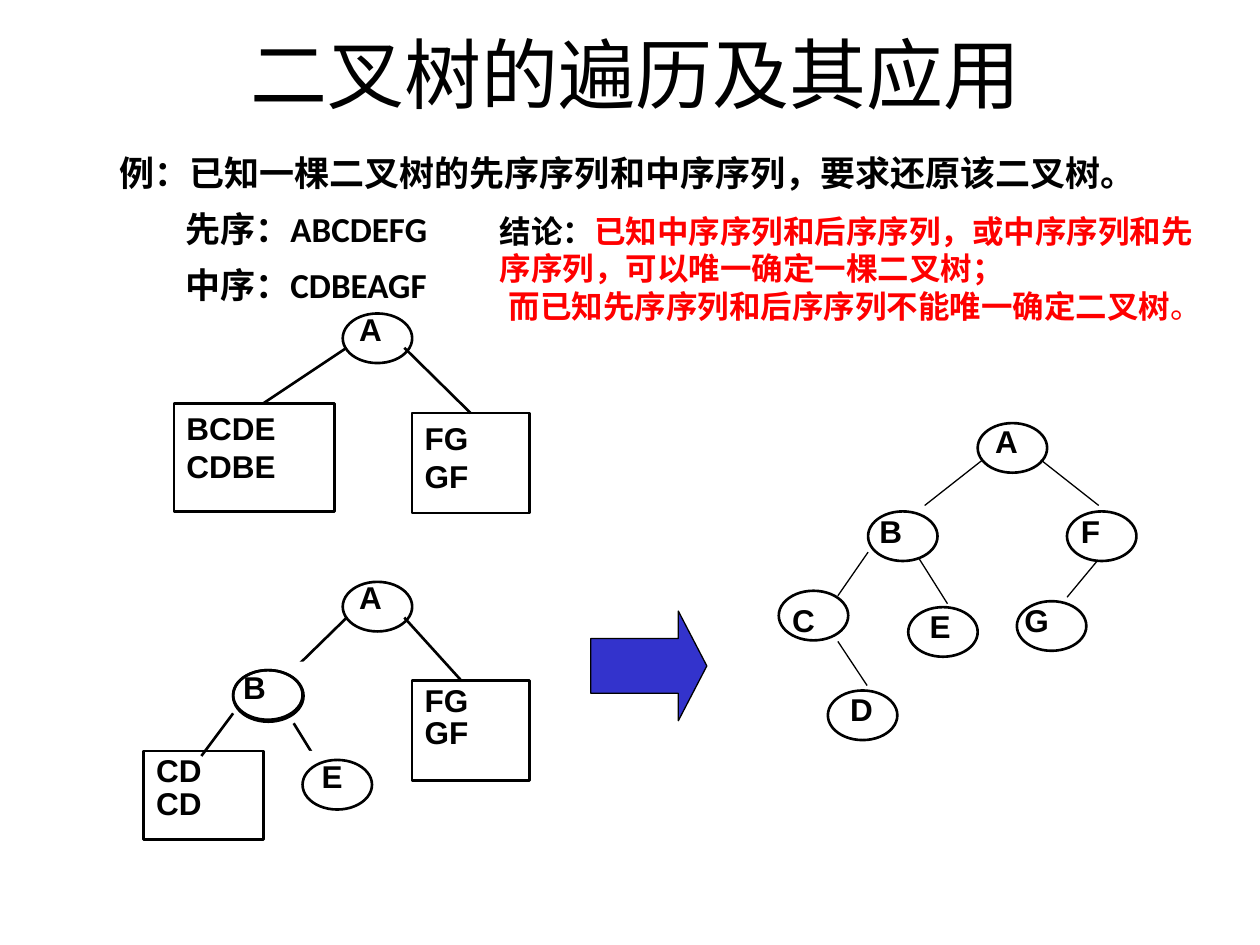
from lxml import etree
from pptx import Presentation
from pptx.dml.color import RGBColor
from pptx.enum import shapes, text
from pptx.oxml import ns
from pptx.util import Cm, Pt

BLACK = RGBColor(0, 0, 0)
WHITE = RGBColor(255, 255, 255)
RED = RGBColor(255, 0, 0)
BLUE = RGBColor(0x33, 0x33, 0xCC)

OVAL_SIZE = (1.4, 1.0)
LABEL_SIZE = (1.75, 1.36)

# letter, oval left, oval top, label left, label top
RESULT_NODES = [
    ("A", 19.71, 8.53, 19.81, 8.38),
    ("B", 17.5, 10.31, 17.48, 10.19),
    ("F", 21.51, 10.31, 21.54, 10.19),
    ("C", 15.7, 11.91, 15.72, 11.99),
    ("E", 18.31, 12.24, 18.49, 12.12),
    ("G", 20.5, 12.12, 20.4, 11.99),
    ("D", 16.69, 13.92, 16.89, 13.79),
]
RESULT_EDGES = [
    (19.81, 9.27, 18.64, 10.19),
    (20.98, 9.27, 22.15, 10.19),
    (17.5, 11.13, 16.89, 12.01),
    (18.52, 11.25, 19.1, 12.17),
    (22.1, 11.33, 21.51, 12.04),
    (16.89, 12.93, 17.48, 13.82),
]


def place(shape, left, top, width, height):
    shape.left, shape.top = Cm(left), Cm(top)
    shape.width, shape.height = Cm(width), Cm(height)


def set_font(font, size, name, bold=True, color=BLACK):
    font.size, font.name, font.bold = Pt(size), name, bold
    font.color.rgb = color


def set_indent(paragraph, left=0, first=0):
    """Set the left margin and first-line indent in cm, without a bullet."""
    properties = paragraph._p.get_or_add_pPr()
    properties.set("marL", str(Cm(left)))
    properties.set("indent", str(Cm(first)))
    etree.SubElement(properties, ns.qn("a:buNone"))


def add_shape(slide, kind, box, fill=None, line_width=None):
    shape = slide.shapes.add_shape(kind, *map(Cm, box))
    shape.shadow.inherit = False
    if fill is None:
        shape.fill.background()
    else:
        shape.fill.solid()
        shape.fill.fore_color.rgb = fill
    if line_width is None:
        shape.line.fill.background()
    else:
        shape.line.color.rgb = BLACK
        shape.line.width = Pt(line_width)
    return shape


def write_lines(shape, lines, spacing=None, alignment=text.PP_ALIGN.LEFT):
    frame = shape.text_frame
    frame.word_wrap = True
    frame.vertical_anchor = text.MSO_ANCHOR.TOP
    frame.text = "\n".join(lines)
    for paragraph in frame.paragraphs:
        paragraph.alignment = alignment
        paragraph.line_spacing = spacing
        set_font(paragraph.font, 18, "Arial")


def add_sequence_box(slide, box, lines, spacing=None):
    """Add a subtree still given by its preorder and inorder sequences."""
    shape = add_shape(slide, shapes.MSO_SHAPE.RECTANGLE, box, WHITE, 1.5)
    write_lines(shape, lines, spacing)
    return shape


def add_edge(slide, start_x, start_y, end_x, end_y, width=1.5):
    edge = slide.shapes.add_connector(
        shapes.MSO_CONNECTOR.STRAIGHT, Cm(start_x), Cm(start_y), Cm(end_x), Cm(end_y))
    edge.line.color.rgb = BLACK
    edge.line.width = Pt(width)
    etree.SubElement(edge._element.spPr, ns.qn("a:effectLst"))
    return edge


def add_oval(slide, left, top, size=OVAL_SIZE):
    add_shape(slide, shapes.MSO_SHAPE.OVAL, (left, top, *size), line_width=1.5)


def add_node(slide, letter, left, top, label_left, label_top, fill=None,
             alignment=text.PP_ALIGN.LEFT):
    label = add_shape(slide, shapes.MSO_SHAPE.RECTANGLE,
                      (label_left, label_top, *LABEL_SIZE), fill)
    write_lines(label, [letter], alignment=alignment)
    add_oval(slide, left, top)
    return label


def fill_title(slide):
    title = slide.shapes.title
    place(title, 1.7, -0.86, 22.23, 3.38)
    frame = title.text_frame
    frame.text = "二叉树的遍历及其应用"
    frame.auto_size = text.MSO_AUTO_SIZE.NONE
    frame.vertical_anchor = text.MSO_ANCHOR.BOTTOM
    paragraph = frame.paragraphs[0]
    paragraph.alignment = text.PP_ALIGN.CENTER
    set_font(paragraph.font, 44, "Calibri", bold=False)


def fill_body(slide):
    body = slide.placeholders[1]
    place(body, 1.7, 2.92, 22.2, 14.4)
    frame = body.text_frame
    frame.text = "例：已知一棵二叉树的先序序列和中序序列，要求还原该二叉树。\n先序：ABCDEFG\n中序：CDBEAGF"
    frame.auto_size = text.MSO_AUTO_SIZE.NONE
    for index, paragraph in enumerate(frame.paragraphs):
        set_indent(paragraph, left=1.78 if index else 0.45)
        paragraph.space_before = Pt(8 if index else 0)
        set_font(paragraph.font, 20, "Calibri")


def add_conclusion(slide):
    box = slide.shapes.add_textbox(Cm(9.83), Cm(4.14), Cm(14.5), Cm(2.54))
    frame = box.text_frame
    frame.word_wrap = True
    first, second = frame.paragraphs[0], frame.add_paragraph()
    set_indent(second, first=0.18)
    for paragraph, content, color, bold in [
        (first, "结论：", BLACK, True),
        (first, "已知中序序列和后序序列，或中序序列和先序序列，可以唯一确定一棵二叉树；", RED, True),
        (second, "而已知先序序列和后序序列不能唯一确定二叉树", RED, True),
        (second, "。", RED, False),
    ]:
        run = paragraph.add_run()
        run.text = content
        set_font(run.font, 18, "Arial", bold, color)


def add_first_step(slide):
    add_sequence_box(slide, (3.51, 8.13, 3.23, 2.18), ["BCDE", "CDBE"])
    right = add_sequence_box(slide, (8.31, 8.33, 2.36, 2.01), ["FG", "GF"])
    label = add_node(slide, "A", 6.91, 6.32, 6.99, 6.12, WHITE)
    label.width = Cm(1.32)
    add_edge(slide, 6.99, 7.01, 5.31, 8.13)
    add_edge(slide, 8.15, 7.01, 9.49, 8.33).end_connect(right, 0)


def add_second_step(slide):
    add_sequence_box(slide, (2.9, 15.14, 2.41, 1.78), ["CD", "CD"], 0.85)
    add_node(slide, "A", 6.91, 11.73, 6.99, 11.53, WHITE)
    add_edge(slide, 6.99, 12.45, 5.69, 13.72)
    add_edge(slide, 8.15, 12.45, 9.3, 13.72)
    add_node(slide, "B", 4.7, 13.51, 4.65, 13.34, WHITE)
    add_oval(slide, 4.7, 13.51, (1.42, 1.04))
    add_edge(slide, 4.7, 14.38, 4.06, 15.24)
    add_edge(slide, 5.92, 14.58, 6.5, 15.52)
    add_node(slide, "E", 6.1, 15.32, 5.82, 15.14, WHITE, text.PP_ALIGN.CENTER)
    add_sequence_box(slide, (8.31, 13.72, 2.36, 2.01), ["FG", "GF"], 0.85)


def add_result(slide):
    arrow = add_shape(slide, shapes.MSO_SHAPE.RIGHT_ARROW,
                      (11.91, 12.32, 2.34, 2.21), BLUE, 0.75)
    arrow.adjustments[1] = 0.26
    for edge in RESULT_EDGES:
        add_edge(slide, *edge, width=0.75)
    for node in RESULT_NODES:
        add_node(slide, *node)


def main():
    presentation = Presentation()
    presentation.slide_width, presentation.slide_height = Cm(25.4), Cm(19.05)
    slide = presentation.slides.add_slide(presentation.slide_layouts[1])
    fill_title(slide)
    fill_body(slide)
    add_first_step(slide)
    add_second_step(slide)
    add_result(slide)
    add_conclusion(slide)
    presentation.save("out.pptx")


if __name__ == "__main__":
    main()
